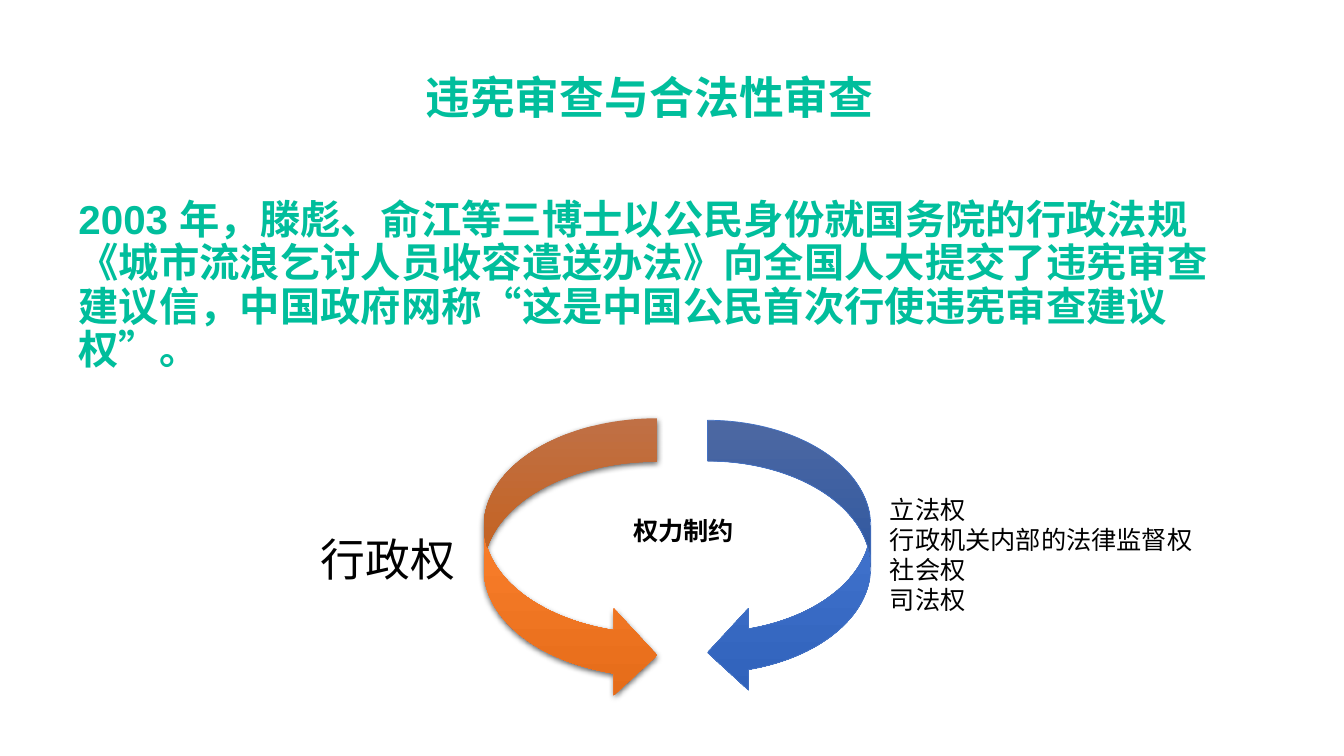
from lxml.etree import SubElement
from pptx import Presentation
from pptx.dml.color import RGBColor
from pptx.enum.shapes import MSO_SHAPE as SHAPE
from pptx.enum.text import MSO_ANCHOR as ANCHOR, PP_ALIGN as ALIGN
from pptx.oxml.ns import qn
from pptx.util import Pt

GREEN, BLACK = "00BE9C", "000000"
TITLE = "违宪审查与合法性审查"
CASE = ("2003 年，滕彪、俞江等三博士以公民身份就国务院的行政法规"
        "《城市流浪乞讨人员收容遣送办法》向全国人大提交了违宪审查建议信，"
        "中国政府网称“这是中国公民首次行使违宪审查建议权”。")
CENTER = "权力制约"
EXECUTIVE = "行政权"
CHECKS = ["立法权", "行政机关内部的法律监督权", "社会权", "司法权"]
HEADING = dict(color=GREEN, bold=True, spacing=0.9, anchor=ANCHOR.MIDDLE)

TEXTS = [
    ([CASE], (49, 141, 844, 127), dict(HEADING, size=28.8)),
    ([TITLE], (42, 8, 844, 127), dict(HEADING, size=32, align=ALIGN.CENTER)),
    ([CENTER], (402.5, 364.3, 171.5, 29), dict(bold=True, align=ALIGN.CENTER)),
    ([EXECUTIVE], (204, 376, 135, 45.5), dict(size=32, indent=18)),
    (CHECKS, (628.5, 349.2, 248.5, 94), {}),
]
ARROWS = [
    (SHAPE.CURVED_RIGHT_ARROW, (345.6, 298.8, 123.8, 200.2),
     ["F18C57", "F67B28", "E56C19"], None, True),
    (SHAPE.CURVED_LEFT_ARROW, (505.4, 300.2, 116.6, 195.1),
     ["6183CB", "3E70CA", "3062BB"], "4472C4", False),
]


def rgb(value):
    """Turn a hex string into a colour."""
    return RGBColor.from_string(value)


def add_text(slide, lines, box, size=18, color=BLACK, bold=False, align=ALIGN.LEFT,
             spacing=1.0, anchor=ANCHOR.TOP, indent=0):
    """Add a text box with one paragraph per line."""
    tf = slide.shapes.add_textbox(*map(Pt, box)).text_frame
    tf.word_wrap = True
    tf.vertical_anchor = anchor
    tf.margin_left = Pt(7.2 + indent)
    for i, line in enumerate(lines):
        p = tf.add_paragraph() if i else tf.paragraphs[0]
        p.alignment, p.line_spacing = align, spacing
        r = p.add_run()
        r.text = line
        font = r.font
        font.name, font.size, font.bold = "Arial", Pt(size), bold
        font.color.rgb = rgb(color)


def add_arrow(slide, kind, box, colors, outline, shaded):
    """Add a curved arrow with an even top-to-bottom gradient."""
    s = slide.shapes.add_shape(kind, *map(Pt, box))
    s.shadow.inherit = False
    s.fill.gradient()
    s.fill.gradient_angle = 270
    sp = s._element.spPr
    stops = sp.find(".//" + qn("a:gsLst"))
    stops.clear()
    for i, color in enumerate(colors):
        stop = SubElement(stops, qn("a:gs"), pos=str(100000 * i // (len(colors) - 1)))
        SubElement(stop, qn("a:srgbClr"), val=color)
    if outline:
        s.line.color.rgb = rgb(outline)
        s.line.width = Pt(0.5)
    else:
        s.line.fill.background()
    if shaded:
        shadow = SubElement(sp.find(qn("a:effectLst")), qn("a:outerShdw"),
                            blurRad=str(Pt(4.5)), dist=str(Pt(1.5)),
                            dir="5400000", algn="ctr", rotWithShape="0")
        tint = SubElement(shadow, qn("a:srgbClr"), val=BLACK)
        SubElement(tint, qn("a:alpha"), val="63000")


def main():
    """Build the slide and save it."""
    prs = Presentation()
    prs.slide_width, prs.slide_height = Pt(960), Pt(540)
    slide = prs.slides.add_slide(prs.slide_layouts[6])
    for arrow in ARROWS:
        add_arrow(slide, *arrow)
    for lines, box, style in TEXTS:
        add_text(slide, lines, box, **style)
    prs.save("out.pptx")


if __name__ == "__main__":
    main()
